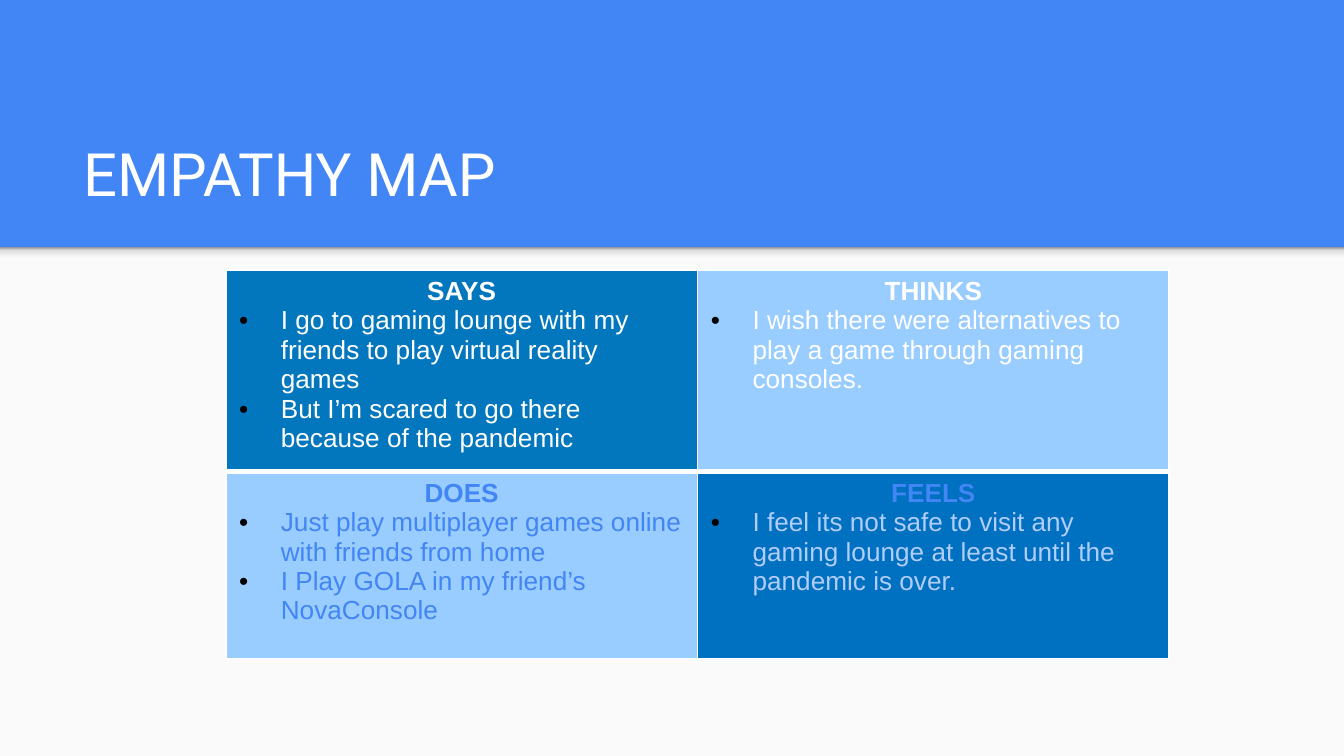
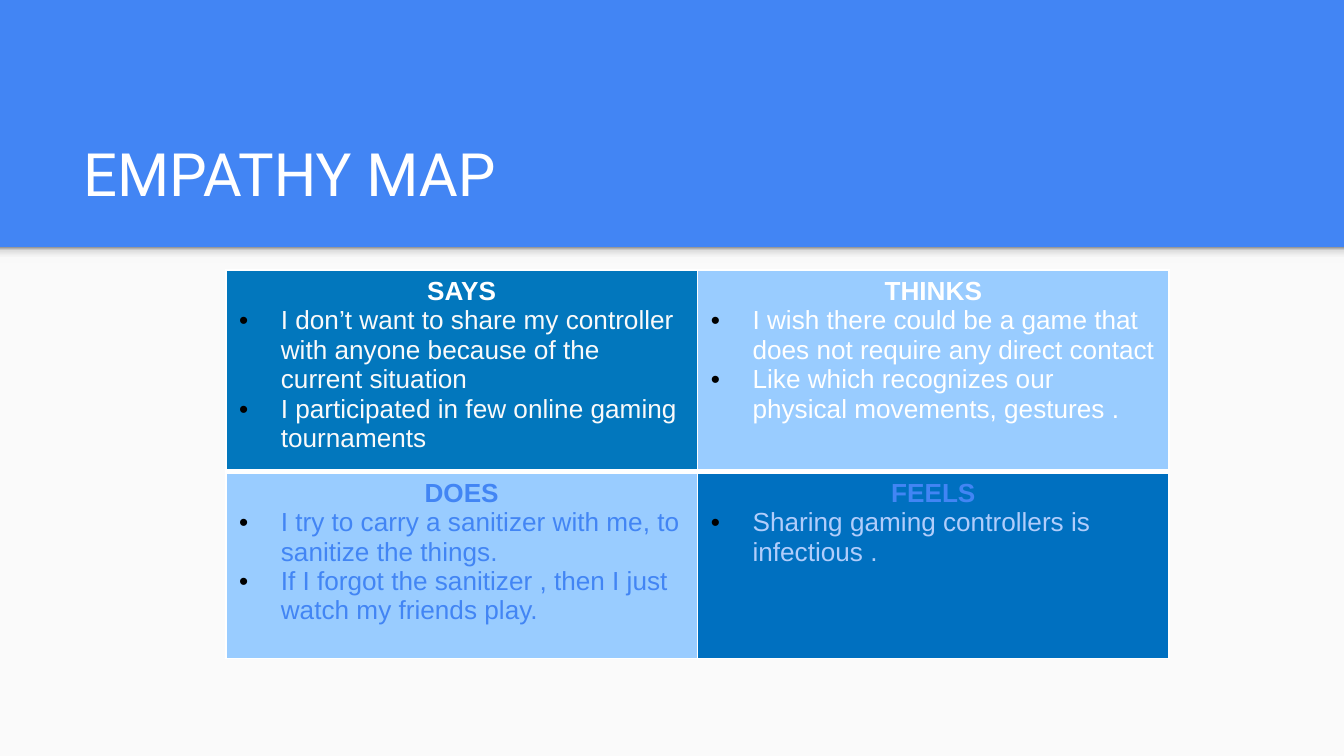
from dataclasses import dataclass
from lxml.etree import SubElement
from pptx import Presentation
from pptx.dml.color import RGBColor as Color
from pptx.enum.shapes import MSO_SHAPE as Shape
from pptx.enum.text import MSO_ANCHOR as Anchor, PP_ALIGN as Align
from pptx.oxml.ns import qn
from pptx.util import Inches, Pt


@dataclass(frozen=True)
class Theme:
    blue: str = "4285F4"
    panel: str = "FAFAFA"
    white: str = "FFFFFF"
    pale: str = "B1CDFB"
    sky: str = "99CCFF"
    deep: str = "0277BD"
    navy: str = "0070C0"
    bullet: str = "000000"
    shadow: tuple = ((0, "F9F9F9"), (36, "F9F9F9"), (80, "DEDEDE"), (100, "999999"))
    title_font: str = "Roboto"
    body_font: str = "Arial"
    title_size: int = 32
    body_size: int = 14


theme = Theme()

quadrants = [
    ("SAYS", theme.deep, theme.white),
    ("THINKS", theme.sky, theme.white),
    ("DOES", theme.sky, theme.blue),
    ("FEELS", theme.navy, theme.blue),
]

empathy_maps = [
    [
        (theme.white, ["I go to gaming lounge with my friends to play virtual reality games",
                       "But I’m scared to go there because of the pandemic"]),
        (theme.white, ["I wish there were alternatives to play a game through gaming consoles."]),
        (theme.blue, ["Just play multiplayer games online with friends from home",
                      "I Play GOLA in my friend’s NovaConsole"]),
        (theme.pale, ["I feel its not safe to visit any gaming lounge at least until the pandemic is over."]),
    ],
    [
        (theme.panel, ["I don’t want to share my controller with anyone because of the current situation",
                       "I participated in few online gaming tournaments"]),
        (theme.white, ["I wish there could be a game that does not require any direct contact",
                       "Like which recognizes our physical movements, gestures ."]),
        (theme.blue, ["I try to carry a sanitizer with me, to sanitize the things.",
                      "If I forgot the sanitizer , then I just watch my friends play."]),
        (theme.pale, ["Sharing gaming controllers is infectious ."]),
    ],
]


def write(paragraph, text, font, size, color, bold=False):
    run = paragraph.add_run()
    run.text = text
    for name, value in {"name": font, "size": Pt(size), "bold": bold}.items():
        setattr(run.font, name, value)
    run.font.color.rgb = Color.from_string(color)
    SubElement(paragraph._p, qn("a:endParaRPr"), sz=str(size * 100))


def add_color(parent, color):
    SubElement(parent, qn("a:srgbClr"), val=color)


presentation = Presentation()
presentation.slide_width = Inches(10)
presentation.slide_height = Inches(10) * 9 // 16

for empathy_map in empathy_maps:
    slide = presentation.slides.add_slide(presentation.slide_layouts[6])
    background = slide.background.fill
    background.solid()
    background.fore_color.rgb = Color.from_string(theme.blue)

    panel, shadow_strip = [
        slide.shapes.add_shape(Shape.RECTANGLE, 0, Inches(1.84), Inches(10), height)
        for height in (presentation.slide_height - Inches(1.84), Inches(0.12))
    ]
    for shape in (panel, shadow_strip):
        shape.shadow.inherit = False
        shape.line.fill.background()
    panel.fill.solid()
    panel.fill.fore_color.rgb = Color.from_string(theme.panel)
    shadow_strip.fill.gradient()
    shadow_strip.fill.gradient_angle = 90
    stops = shadow_strip.fill._xPr.find(qn("a:gradFill")).find(qn("a:gsLst"))
    for stop in list(stops):
        stops.remove(stop)
    for position, color in theme.shadow:
        add_color(SubElement(stops, qn("a:gs"), pos=str(position * 1000)), color)

    title = slide.shapes.add_textbox(Inches(0.52), Inches(0.81), Inches(8.99), Inches(0.84))
    title_format = {"word_wrap": True, "vertical_anchor": Anchor.BOTTOM}
    for side in ("left", "top", "right", "bottom"):
        title_format[f"margin_{side}"] = Inches(0.1)
    for name, value in title_format.items():
        setattr(title.text_frame, name, value)
    write(title.text_frame.paragraphs[0], "EMPATHY MAP",
          theme.title_font, theme.title_size, theme.white)

    table = slide.shapes.add_table(
        2, 2, Inches(1.68), Inches(2.01), Inches(7.02), Inches(2.77)).table
    table.first_row = table.horz_banding = False
    for row, height in zip(table.rows, (1.38, 1.39)):
        row.height = Inches(height)

    for index, (quadrant, content) in enumerate(zip(quadrants, empathy_map)):
        heading, fill_color, heading_color = quadrant
        item_color, items = content
        row, column = divmod(index, 2)
        cell = table.cell(row, column)
        properties = cell._tc.get_or_add_tcPr()
        divider = "lnT" if row else "lnB"
        for edge in ("lnL", "lnR", "lnT", "lnB"):
            width = Pt(3 if edge == divider else 1)
            border = SubElement(properties, qn(f"a:{edge}"), w=str(width))
            add_color(SubElement(border, qn("a:solidFill")), theme.white)
        cell.fill.solid()
        cell.fill.fore_color.rgb = Color.from_string(fill_color)

        paragraph = cell.text_frame.paragraphs[0]
        paragraph.alignment = Align.CENTER
        write(paragraph, heading, theme.body_font, theme.body_size, heading_color, True)
        for item in items:
            paragraph = cell.text_frame.add_paragraph()
            indent = Inches(0.31)
            bullet = paragraph._p.get_or_add_pPr()
            bullet.set("marL", str(indent))
            bullet.set("indent", str(-indent))
            add_color(SubElement(bullet, qn("a:buClr")), theme.bullet)
            SubElement(bullet, qn("a:buFont"), typeface=theme.body_font)
            SubElement(bullet, qn("a:buChar"), char="•")
            write(paragraph, item, theme.body_font, theme.body_size, item_color)

presentation.save("out.pptx")
